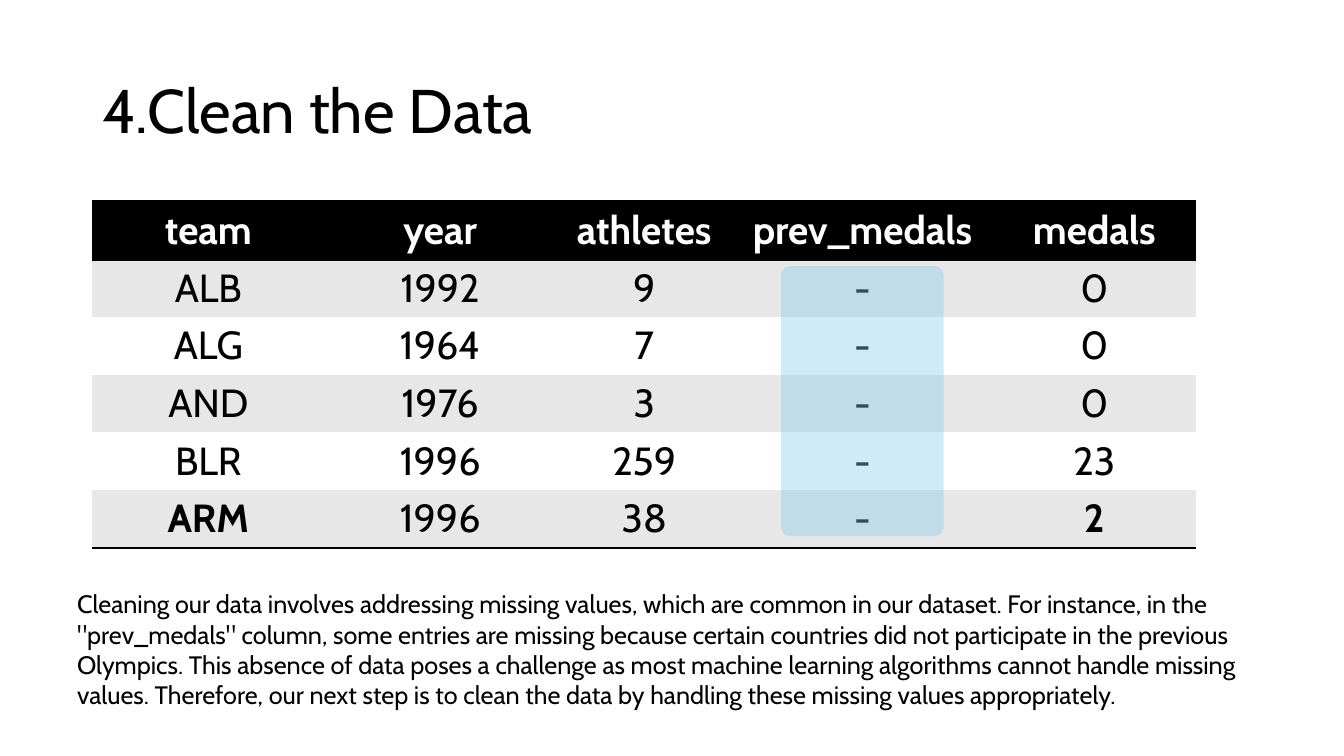
from lxml import etree
from pptx import Presentation
from pptx.dml.color import RGBColor
from pptx.enum import shapes, text
from pptx.oxml import ns
from pptx.util import Pt

TITLE = "4.Clean the Data"
ROWS = [
    ("team", "year", "athletes", "prev_medals", "medals"),
    ("ALB", "1992", "9", "-", "0"),
    ("ALG", "1964", "7", "-", "0"),
    ("AND", "1976", "3", "-", "0"),
    ("BLR", "1996", "259", "-", "23"),
    ("ARM", "1996", "38", "-", "2"),
]
BOLD_IN_LAST_ROW = ("ARM", "2")
EXPLANATION = (
    "Cleaning our data involves addressing missing values, which are common in "
    "our dataset. For instance, in the \"prev_medals\" column, some entries are "
    "missing because certain countries did not participate in the previous "
    "Olympics. This absence of data poses a challenge as most machine learning "
    "algorithms cannot handle missing values. Therefore, our next step is to "
    "clean the data by handling these missing values appropriately."
)

FONT = "Cabin"
BLACK = RGBColor(0x00, 0x00, 0x00)
WHITE = RGBColor(0xFF, 0xFF, 0xFF)
GREY = RGBColor(0xE7, 0xE7, 0xE7)
LIGHT_BLUE = RGBColor(0x83, 0xCB, 0xEB)

# Left, top, width, height in points
TITLE_BOX = (66, 28.8, 828, 104.4)
TABLE_BOX = (66, 144, 788.4, 244.8)
HIGHLIGHT_BOX = (558, 190, 116, 193)
EXPLANATION_BOX = (48, 417, 884, 94.3)
COLUMN_WIDTHS = (165.6, 165.6, 126, 185.8, 145.4)
HIGHLIGHT_OPACITY = 38
PLAIN_TABLE_STYLE = "{2D5ABB26-0587-4C30-8999-92F81FD0307C}"


def points(box):
    return [Pt(value) for value in box]


def add_run(paragraph, words, size, color=BLACK, bold=False):
    run = paragraph.add_run()
    run.text = words
    run.font.name = FONT
    run.font.size = Pt(size)
    run.font.bold = bold
    run.font.color.rgb = color


def add_border(cell, side):
    """Draw a 2 pt black border; must be called before the cell is filled."""
    properties = cell._tc.get_or_add_tcPr()
    line = etree.SubElement(properties, ns.qn("a:" + side), w=str(Pt(2)))
    fill = etree.SubElement(line, ns.qn("a:solidFill"))
    etree.SubElement(fill, ns.qn("a:srgbClr"), val=str(BLACK))


def add_title(slide):
    title = slide.shapes.title
    title.left, title.top, title.width, title.height = points(TITLE_BOX)
    frame = title.text_frame
    frame.auto_size = text.MSO_AUTO_SIZE.NONE
    frame.vertical_anchor = text.MSO_ANCHOR.MIDDLE
    paragraph = frame.paragraphs[0]
    paragraph.alignment = text.PP_ALIGN.LEFT
    paragraph.line_spacing = 0.9
    add_run(paragraph, TITLE, 44)


def add_medal_table(slide):
    frame = slide.shapes.add_table(len(ROWS), len(ROWS[0]), *points(TABLE_BOX))
    table = frame.table
    table._tbl.tblPr.find(ns.qn("a:tableStyleId")).text = PLAIN_TABLE_STYLE
    for column, width in zip(table.columns, COLUMN_WIDTHS):
        column.width = Pt(width)
    last = len(ROWS) - 1
    for row_index, row in enumerate(ROWS):
        header = row_index == 0
        for column_index, words in enumerate(row):
            cell = table.cell(row_index, column_index)
            if header:
                add_border(cell, "lnT")
            if row_index in (0, last):
                add_border(cell, "lnB")
            cell.fill.solid()
            band = GREY if row_index % 2 else WHITE
            cell.fill.fore_color.rgb = BLACK if header else band
            paragraph = cell.text_frame.paragraphs[0]
            paragraph.alignment = text.PP_ALIGN.CENTER
            bold = header or (row_index == last and words in BOLD_IN_LAST_ROW)
            add_run(paragraph, words, 28, WHITE if header else BLACK, bold)


def add_highlight(slide):
    highlight = slide.shapes.add_shape(
        shapes.MSO_SHAPE.ROUNDED_RECTANGLE, *points(HIGHLIGHT_BOX))
    highlight.adjustments[0] = 0.055
    highlight.shadow.inherit = False
    highlight.line.fill.background()
    highlight.fill.solid()
    highlight.fill.fore_color.rgb = LIGHT_BLUE
    color = highlight._element.spPr.find(".//" + ns.qn("a:srgbClr"))
    etree.SubElement(color, ns.qn("a:alpha"), val=str(HIGHLIGHT_OPACITY * 1000))


def add_explanation(slide):
    frame = slide.shapes.add_textbox(*points(EXPLANATION_BOX)).text_frame
    frame.word_wrap = True
    frame.auto_size = text.MSO_AUTO_SIZE.SHAPE_TO_FIT_TEXT
    add_run(frame.paragraphs[0], EXPLANATION, 18)


def main():
    presentation = Presentation()
    presentation.slide_width, presentation.slide_height = Pt(960), Pt(540)
    slide = presentation.slides.add_slide(presentation.slide_layouts[5])
    add_title(slide)
    add_medal_table(slide)
    add_highlight(slide)
    add_explanation(slide)
    presentation.save("out.pptx")


if __name__ == "__main__":
    main()
